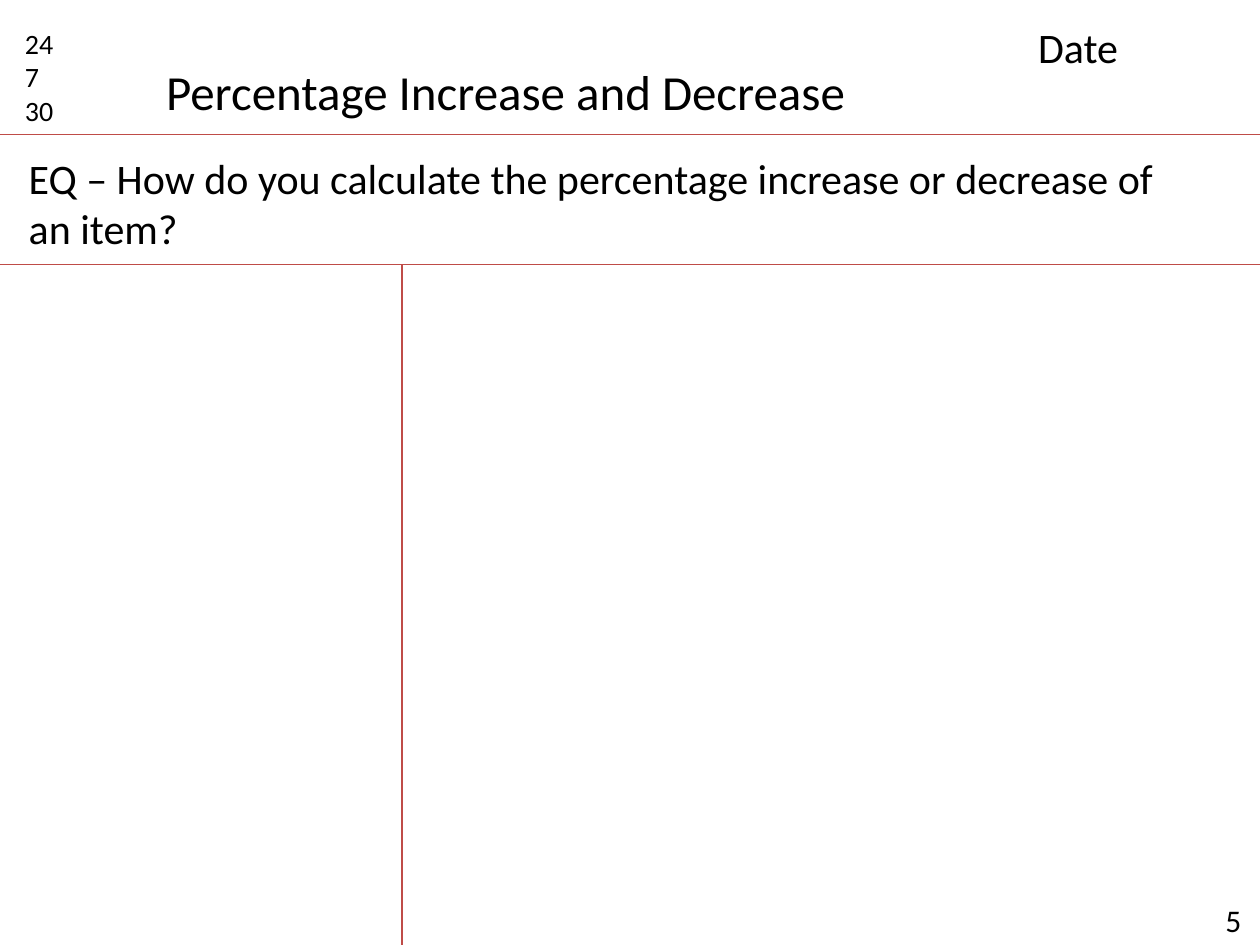
"""Build a note-taking slide on percentage increase and decrease."""
from pptx import Presentation
from pptx.dml.color import RGBColor
from pptx.enum.shapes import MSO_CONNECTOR
from pptx.enum.text import MSO_AUTO_SIZE
from pptx.oxml.ns import qn
from pptx.util import Inches, Pt
from lxml.etree import SubElement

WIDTH, HEIGHT = 10, 7.5
TITLE_RULE, QUESTION_RULE, MARGIN_RULE = 1.07, 2.1, 3.19


def rgb(value):
    """Return the colour for a hex string."""
    return RGBColor.from_string(value)


def add_text(slide, box, text, size, wrap=True):
    """Add a text box with one paragraph for each line of text."""
    sp = slide.shapes.add_textbox(*map(Inches, box))
    tf = sp.text_frame
    tf.word_wrap = wrap
    tf.auto_size = MSO_AUTO_SIZE.SHAPE_TO_FIT_TEXT
    tf.text = text
    for p in tf.paragraphs:
        for r in p.runs:
            r.font.name = "Calibri"
            r.font.size = Pt(size)
            r.font.color.rgb = rgb("000000")


def add_rule(slide, x1, y1, x2, y2):
    """Add a thin red ruled line."""
    ends = map(Inches, (x1, y1, x2, y2))
    line = slide.shapes.add_connector(MSO_CONNECTOR.STRAIGHT, *ends)
    line.line.color.rgb = rgb("BF4C48")
    line.line.width = Pt(0.75)
    SubElement(line._element.spPr, qn("a:effectLst"))


def main():
    """Build and save the slide."""
    prs = Presentation()
    prs.slide_width, prs.slide_height = Inches(WIDTH), Inches(HEIGHT)
    s = prs.slides.add_slide(prs.slide_layouts[6])

    add_text(s, (9.57, 7.1, 0.6, 0.4), " 5", 18)
    for y in (TITLE_RULE, QUESTION_RULE):
        add_rule(s, 0, y, WIDTH, y)
    add_text(s, (0.1, 0.16, 0.63, 0.91), "24\n7\n30", 16)
    add_rule(s, MARGIN_RULE, QUESTION_RULE, MARGIN_RULE, HEIGHT)
    add_text(s, (1.22, 0.44, 5.61, 0.57),
             "Percentage Increase and Decrease", 28, wrap=False)
    add_text(s, (8.14, 0.12, 1.73, 0.5), "Date", 24)
    add_text(s, (0.13, 1.16, 9.43, 0.91),
             "EQ – How do you calculate the percentage increase "
             "or decrease of an item?", 24)

    prs.save("out.pptx")


if __name__ == "__main__":
    main()
